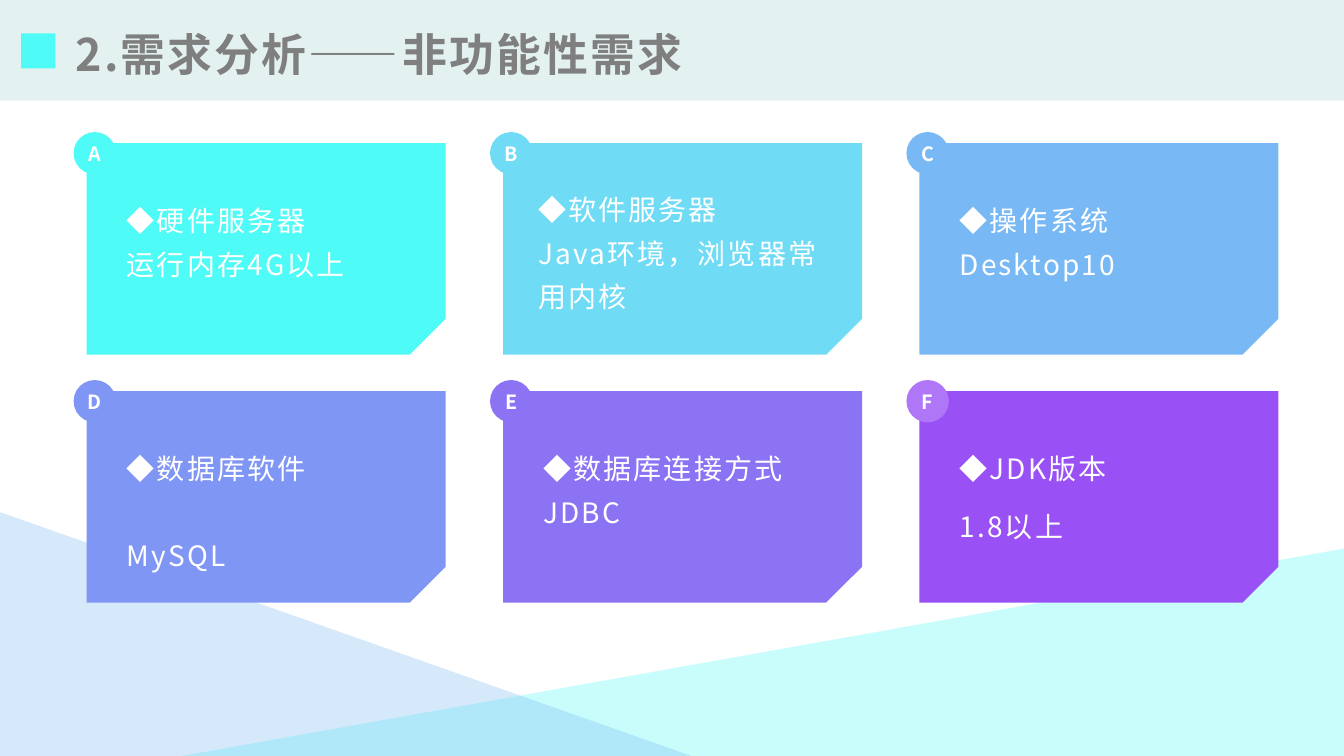
import pptx
import pptx.util
import pptx.dml.color
import pptx.enum.shapes
import pptx.enum.text
import pptx.oxml.ns
import lxml.etree

Inches = pptx.util.Inches
Pt = pptx.util.Pt
KIND = pptx.enum.shapes.MSO_SHAPE
ANCHOR = pptx.enum.text.MSO_ANCHOR
ALIGN = pptx.enum.text.PP_ALIGN
qn = pptx.oxml.ns.qn


def color(code):
    return pptx.dml.color.RGBColor.from_string(code)


class Painter:
    font = "Noto Sans CJK SC"
    white = "FFFFFF"

    def __init__(self, slide):
        self.slide = slide

    def shape(self, kind, box, fill, alpha=None, turn=0, flip=None):
        item = self.slide.shapes.add_shape(kind, *map(Inches, box))
        item.shadow.inherit = False
        item.fill.solid()
        item.fill.fore_color.rgb = color(fill)
        item.line.fill.background()
        item.rotation = turn
        if flip:
            item._element.spPr.find(qn("a:xfrm")).set(flip, "1")
        if alpha:
            tone = item._element.spPr.find(".//" + qn("a:srgbClr"))
            lxml.etree.SubElement(tone, qn("a:alpha")).set("val", str(alpha * 1000))
        return item

    def run(self, para, text, size, tint, bold=False, space=0):
        run = para.add_run()
        run.text = text
        run.font.size = Pt(size)
        run.font.bold = bold
        run.font.color.rgb = color(tint)
        run.font.name = self.font
        props = run._r.get_or_add_rPr()
        lxml.etree.SubElement(props, qn("a:ea")).set("typeface", self.font)
        if space:
            props.set("spc", str(int(space * 100)))

    def frame(self, box):
        frame = self.slide.shapes.add_textbox(*map(Inches, box)).text_frame
        frame.word_wrap = True
        return frame

    def title(self, text, box):
        frame = self.frame(box)
        frame.vertical_anchor = ANCHOR.BOTTOM
        frame.margin_left = frame.margin_right = Inches(0.08)
        frame.margin_top = frame.margin_bottom = Inches(0.04)
        self.run(frame.paragraphs[0], text, 32, "7F7F7F", True, 1.5)

    def badge(self, text, left, top, fill):
        frame = self.shape(KIND.OVAL, (left, top, 0.42, 0.42), fill).text_frame
        frame.margin_left = frame.margin_right = 0
        frame.margin_top = frame.margin_bottom = 0
        frame.vertical_anchor = ANCHOR.MIDDLE
        frame.word_wrap = False
        para = frame.paragraphs[0]
        para.alignment = ALIGN.CENTER
        self.run(para, text, 14, self.white, True)

    def body(self, lines, box, gap):
        frame = self.frame(box)
        for row, text in enumerate(lines):
            para = frame.add_paragraph() if row else frame.paragraphs[0]
            para.line_spacing = 1.3
            para.space_before = Pt(gap if row else 0)
            self.run(para, text, 20, self.white, space=1.5)

    def card(self, left, top, fill):
        card = self.shape(KIND.SNIP_1_RECTANGLE, (left, top, 3.56, 2.1), fill, flip="flipV")
        card.adjustments[0] = 0.17


# Letter, card fill, badge fill, lines, gap, text offset and width
CARDS = [
    ("A", "4FFBF6", "4FFBF6", ("◆硬件服务器", "运行内存4G以上"), 0, (0.3, 0.45, 2.96)),
    ("B", "70DBF4", "70DBF4", ("◆软件服务器", "Java环境，浏览器常用内核"), 0, (0.25, 0.34, 3.26)),
    ("C", "78B9F5", "78B9F5", ("◆操作系统", "Desktop10"), 0, (0.3, 0.45, 2.96)),
    ("D", "8096F4", "8096F4", ("◆数据库软件", "MySQL"), 31, (0.3, 0.45, 2.96)),
    ("E", "8C73F4", "8C73F4", ("◆数据库连接方式", "JDBC"), 0, (0.3, 0.45, 2.96)),
    ("F", "9951F6", "AF77F8", ("◆JDK版本", "1.8以上"), 10, (0.3, 0.45, 2.96)),
]


def main():
    deck = pptx.Presentation()
    deck.slide_width = Inches(13.33)
    deck.slide_height = Inches(7.5)
    paint = Painter(deck.slides.add_slide(deck.slide_layouts[6]))

    # Backdrop triangles
    paint.shape(KIND.RIGHT_TRIANGLE, (6.54, 0.7, 2.06, 11.54), "4FFBF6", 30, 270)
    paint.shape(KIND.RIGHT_TRIANGLE, (2.22, 2.86, 2.42, 6.86), "78B9F5", 30, 90, "flipH")

    # Title band
    paint.shape(KIND.RECTANGLE, (0, 0, 13.33, 1), "E3F2F1")
    paint.shape(KIND.RECTANGLE, (0.21, 0.33, 0.34, 0.35), "4FFBF6")
    paint.title("2.需求分析——非功能性需求", (0.67, 0.17, 12, 0.67))

    # Cards in a grid of three columns
    for index, (mark, fill, dot, lines, gap, (right, down, width)) in enumerate(CARDS):
        row, col = divmod(index, 3)
        left, top = 0.86 + 4.13 * col, 1.42 + 2.46 * row
        paint.card(left, top, fill)
        paint.badge(mark, left - 0.13, top - 0.11, dot)
        paint.body(lines, (left + right, top + down, width, 1.19), gap)

    deck.save("out.pptx")


if __name__ == "__main__":
    main()
